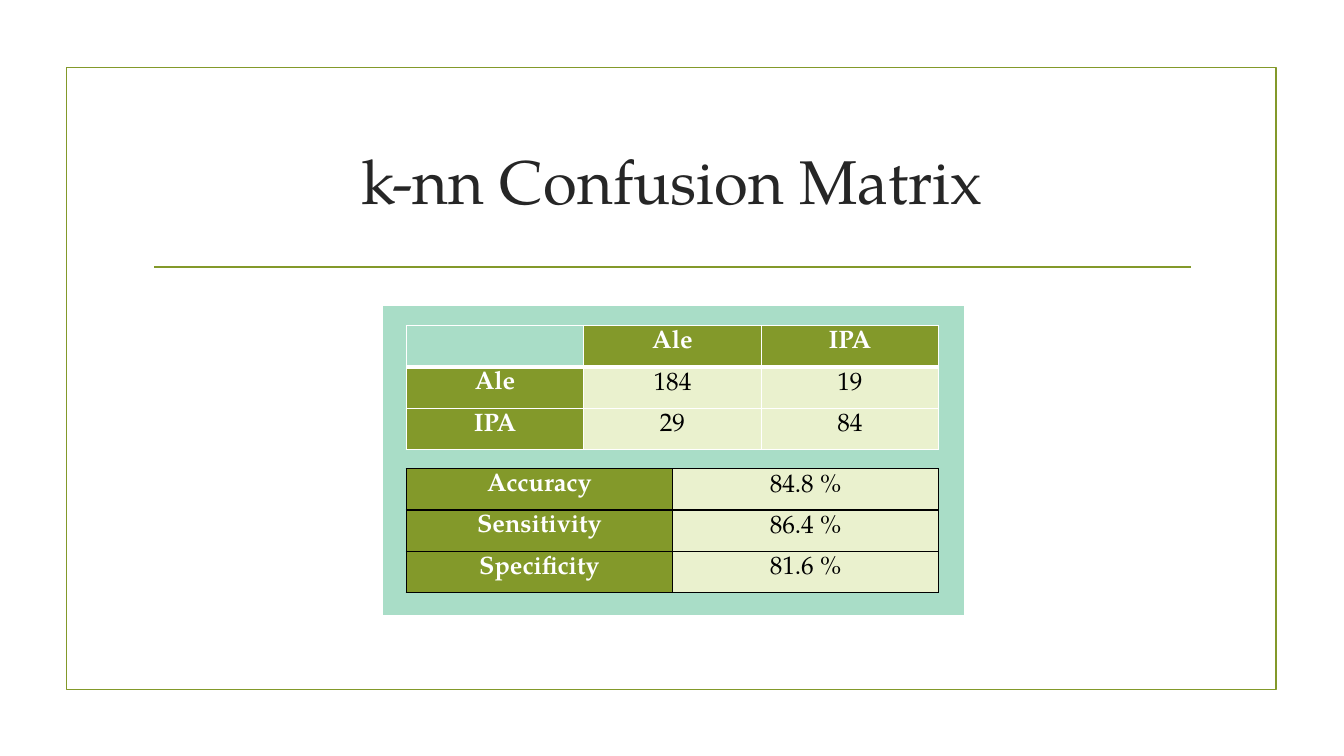
"""Build the k-nn confusion matrix slide."""
from dataclasses import dataclass

import pptx
import pptx.dml.color
import pptx.enum.shapes
import pptx.enum.text
import pptx.oxml
import pptx.oxml.ns
import pptx.util
from pptx.dml.color import RGBColor
from pptx.util import Inches

FONT = "TeX Gyre Pagella"
OLIVE = RGBColor(0x83, 0x99, 0x2A)
PALE = RGBColor(0xEA, 0xF1, 0xCE)
MINT = RGBColor(0xA9, 0xDD, 0xC7)
INK = RGBColor(0x26, 0x26, 0x26)
WHITE = RGBColor(0xFF, 0xFF, 0xFF)
BLACK = RGBColor(0, 0, 0)
TABLE_LEFT, TABLE_WIDTH, ROW_HEIGHT = 4.03, 5.28, 0.41


@dataclass
class Grid:
    """A table with heading cells in its first column and perhaps first row."""
    top: float
    rows: list[list[str]]
    border: RGBColor
    has_header: bool = False


GRIDS = [
    Grid(4.65, [["Accuracy", "84.8 %"], ["Sensitivity", "86.4 %"],
                ["Specificity", "81.6 %"]], BLACK),
    Grid(3.23, [["", "Ale", "IPA"], ["Ale", "184", "19"], ["IPA", "29", "84"]],
         WHITE, has_header=True),
]


def style_para(para, size: float, color: RGBColor, bold: bool = False) -> None:
    """Centre a paragraph and set its font."""
    para.alignment = pptx.enum.text.PP_ALIGN.CENTER
    para.font.name = FONT
    para.font.size = pptx.util.Pt(size)
    para.font.color.rgb = color
    para.font.bold = bold


def set_border(cell, side: str, color: RGBColor, width: float) -> None:
    """Draw one side of a cell; borders must come before the cell's fill."""
    cell._tc.get_or_add_tcPr().append(pptx.oxml.parse_xml(
        f'<a:ln{side} {pptx.oxml.ns.nsdecls("a")} w="{pptx.util.Pt(width)}">'
        f'<a:solidFill><a:srgbClr val="{color}"/></a:solidFill></a:ln{side}>'))


def add_box(page, left: float, top: float, width: float, height: float,
            line: RGBColor, fill: RGBColor | None = None) -> None:
    """Add a rectangle, unfilled unless a fill is given."""
    box = page.shapes.add_shape(
        pptx.enum.shapes.MSO_SHAPE.RECTANGLE,
        Inches(left), Inches(top), Inches(width), Inches(height))
    box.shadow.inherit = False
    box.line.color.rgb = line
    box.line.width = pptx.util.Pt(1.25)
    if fill is None:
        box.fill.background()
    else:
        box.fill.solid()
        box.fill.fore_color.rgb = fill


def add_rule(page, left: float, right: float, top: float) -> None:
    """Add the horizontal line below the title."""
    rule = page.shapes.add_connector(
        pptx.enum.shapes.MSO_CONNECTOR.STRAIGHT,
        Inches(left), Inches(top), Inches(right), Inches(top))
    rule.line.color.rgb = OLIVE
    rule.line.width = pptx.util.Pt(1.25)
    rule._element.spPr.append(pptx.oxml.parse_xml(
        f'<a:effectLst {pptx.oxml.ns.nsdecls("a")}/>'))


def add_title(page, text: str) -> None:
    """Add the centred slide title."""
    box = page.shapes.add_textbox(
        Inches(1.42), Inches(1.07), Inches(10.5), Inches(1.43))
    frame = box.text_frame
    frame.word_wrap = True
    frame.vertical_anchor = pptx.enum.text.MSO_ANCHOR.MIDDLE
    frame.text = text
    style_para(frame.paragraphs[0], 44, INK)


def fill_cell(cell, text: str, is_heading: bool) -> None:
    """Write and colour one table cell."""
    cell.margin_top = cell.margin_bottom = Inches(0.05)
    cell.text = text
    para = cell.text_frame.paragraphs[0]
    para.line_spacing = 0.9
    style_para(para, 18, WHITE if is_heading else BLACK, is_heading)
    if text:
        cell.fill.solid()
        cell.fill.fore_color.rgb = OLIVE if is_heading else PALE
    else:
        cell.fill.background()


def add_grid(page, grid: Grid) -> None:
    """Add a table with equal columns and rows."""
    row_count, column_count = len(grid.rows), len(grid.rows[0])
    table = page.shapes.add_table(
        row_count, column_count, Inches(TABLE_LEFT), Inches(grid.top),
        Inches(TABLE_WIDTH), Inches(ROW_HEIGHT * row_count)).table
    table.first_row = grid.has_header
    table.first_col = True
    table.horz_banding = False
    for row_index, texts in enumerate(grid.rows):
        for column_index, text in enumerate(texts):
            cell = table.cell(row_index, column_index)
            for side in "LRTB":
                is_header_edge = grid.has_header and (
                    (row_index, side) in ((0, "B"), (1, "T")))
                set_border(cell, side, grid.border, 3 if is_header_edge else 1)
            is_header = grid.has_header and row_index == 0
            fill_cell(cell, text, is_header or column_index == 0)


def main() -> None:
    """Build and save the deck."""
    deck = pptx.Presentation()
    deck.slide_width, deck.slide_height = Inches(13.33), Inches(7.5)
    page = deck.slides.add_slide(deck.slide_layouts[6])
    add_box(page, 0.66, 0.67, 12, 6.17, OLIVE)
    add_rule(page, 1.53, 11.81, 2.65)
    add_title(page, "k-nn Confusion Matrix")
    add_box(page, 3.79, 3.03, 5.78, 3.08, WHITE, MINT)
    for grid in GRIDS:
        add_grid(page, grid)
    deck.save("out.pptx")


main()
